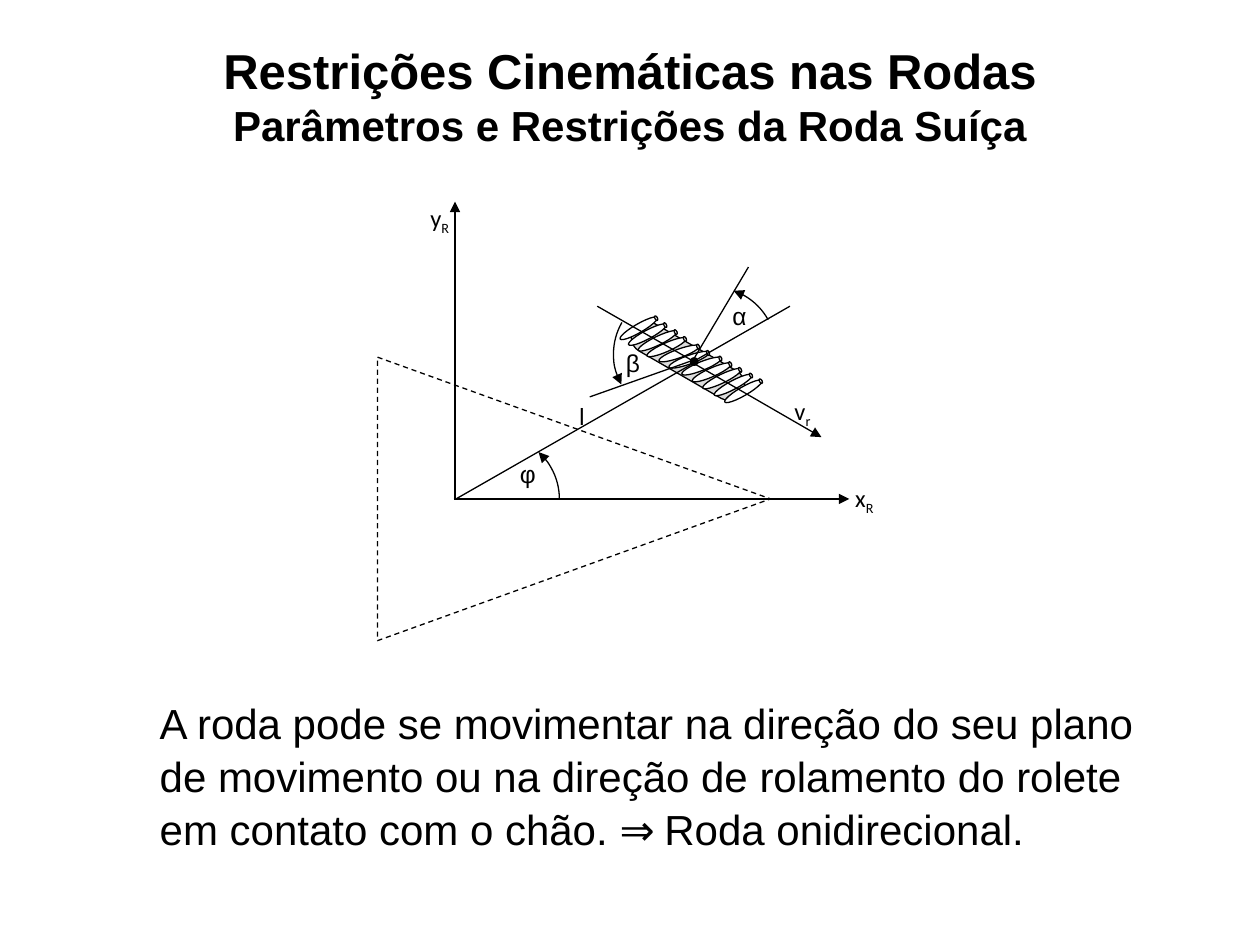
from math import cos, radians, sin

from lxml import etree
from pptx import Presentation
from pptx.dml.color import RGBColor
from pptx.enum import dml, shapes, text
from pptx.oxml import ns
from pptx.util import Pt

hues = {"ink": "000000", "paper": "FFFFFF", "hub": "DDDDDD"}
ink = RGBColor.from_string(hues["ink"])
kinds = shapes.MSO_SHAPE

deck = Presentation()
deck.slide_width, deck.slide_height = Pt(720), Pt(540)
slide = deck.slides.add_slide(deck.slide_layouts[6])


def style(item, arrow=None):
    item.line.color.rgb = ink
    item.line.width = Pt(0.75)
    if arrow:
        tip = etree.SubElement(item.line._get_or_add_ln(), ns.qn(f"a:{arrow}"))
        tip.set("type", "triangle")


def solid(kind, mid, size, turn, hue):
    (x, y), (w, h) = mid, size
    item = group.shapes.add_shape(kind, Pt(x - w / 2), Pt(y - h / 2), Pt(w), Pt(h))
    item.rotation = turn
    item.shadow.inherit = False
    item.fill.solid()
    item.fill.fore_color.rgb = RGBColor.from_string(hues[hue])
    style(item)
    return item


title = slide.shapes.add_textbox(Pt(36), Pt(21.6), Pt(648), Pt(90))
frame = title.text_frame
frame.word_wrap = True
frame.margin_top = Pt(1.5)
lines = [("Restrições Cinemáticas nas Rodas", 28), ("Parâmetros e Restrições da Roda Suíça", 24)]
for i, (words, size) in enumerate(lines):
    para = frame.add_paragraph() if i else frame.paragraphs[0]
    para.text = words
    para.alignment = text.PP_ALIGN.CENTER
    para.font.name, para.font.size, para.font.bold = "Arial", Pt(size), True
    para.font.color.rgb = ink

group = slide.shapes.add_group_shape()
solid(kinds.ROUNDED_RECTANGLE, (393.1, 206.3), (72, 18), 30, "hub").adjustments[0] = 0.5

rollers = [
    (4, 388.1, 340), (5, 393.8, 340), (6, 401, 338), (7, 406.8, 336),
    (8, 412.6, 334), (9, 419, 332), (3, 380.9, 336), (1, 370, 332),
    (0, 365, 330), (2, 375.8, 334), (10, 424.8, 330),
]
for i, x, turn in rollers:
    y = 187.6 + 3.6 * i
    angle = radians(turn)
    cap = (x + 11.5 * cos(angle), y + 11.5 * sin(angle))
    solid(kinds.OVAL, (x, y), (24.5, 5), turn, "paper")
    solid(kinds.OVAL, cap, (1.4, 2.9), turn, "paper")

robot = solid(kinds.ISOSCELES_TRIANGLE, (328, 285.1), (162, 224.6), 90, "paper")
robot.line.dash_style = dml.MSO_LINE.DASH
solid(kinds.OVAL, (396.7, 206.6), (4.3, 4.3), 30, "ink")

links = [
    (260, 285.1, 260, 115.2, "tailEnd"),
    (259.2, 285.1, 485.3, 285.1, "tailEnd"),
    (395.3, 208.1, 260.6, 285.1, None),
    (394.6, 206.6, 469.4, 249.8, "tailEnd"),
    (451.4, 175, 397.4, 205.9, None),
    (427.7, 152.6, 396, 205.9, None),
    (341.3, 175, 395.3, 205.9, None),
    (337, 226.8, 396, 205.9, None),
]
for x1, y1, x2, y2, arrow in links:
    link = group.shapes.add_connector(
        shapes.MSO_CONNECTOR.STRAIGHT, Pt(x1), Pt(y1), Pt(x2), Pt(y2))
    style(link, arrow)
    etree.SubElement(link._element.spPr, ns.qn("a:effectLst"))

arcs = [(283.7, 285.1, 312, 360), (407.5, 200.2, 289, 331), (386.6, 202.3, 151, 210)]
for x, y, start, end in arcs:
    arc = group.shapes.add_shape(kinds.ARC, Pt(x - 36), Pt(y - 36), Pt(72), Pt(72))
    arc.adjustments[0] = start * 0.6
    arc.adjustments[1] = end % 360 * 0.6
    arc.shadow.inherit = False
    arc.fill.background()
    style(arc, "headEnd")

labels = [
    ("v", "r", 440.6, 222.5, 36, 36, "Calibri"),
    ("α", "", 404.6, 168.5, 36, 36, "Arial"),
    ("φ", "", 280.1, 258.5, 43.2, 36, "Arial"),
    ("x", "R", 475.9, 272.2, 36, 28.8, "Calibri"),
    ("y", "R", 233.3, 112.3, 36, 28.8, "Calibri"),
    ("l", "", 314.6, 225.4, 36, 28.8, "Calibri"),
    ("β", "", 350.6, 195.1, 26.6, 26.6, "Arial"),
]
for sign, sub, x, y, w, h, face in labels:
    label = group.shapes.add_textbox(Pt(x), Pt(y), Pt(w), Pt(h))
    label.text_frame.word_wrap = True
    para = label.text_frame.paragraphs[0]
    para.alignment = text.PP_ALIGN.LEFT if sign == "β" else text.PP_ALIGN.CENTER
    para.space_after = Pt(10)
    para.font.name, para.font.size = face, Pt(14)
    para.font.color.rgb = ink
    para.add_run().text = sign
    if sub:
        run = para.add_run()
        run.text = sub
        run.font._element.set("baseline", "-25000")

body = slide.shapes.add_textbox(Pt(84.2), Pt(393.8), Pt(573.8), Pt(93.6))
body.text_frame.word_wrap = True
para = body.text_frame.paragraphs[0]
para.line_spacing = 1.05
para.font.size = Pt(24)
para.font.color.rgb = ink
parts = [
    ("A roda pode se movimentar na direção do seu plano de movimento ou na direção "
     "de rolamento do rolete em contato com o chão. ", "Arial"),
    ("⇒ ", "Calibri"),
    ("Roda onidirecional.", "Arial"),
]
for words, face in parts:
    run = para.add_run()
    run.text = words
    run.font.name = face

deck.save("out.pptx")
